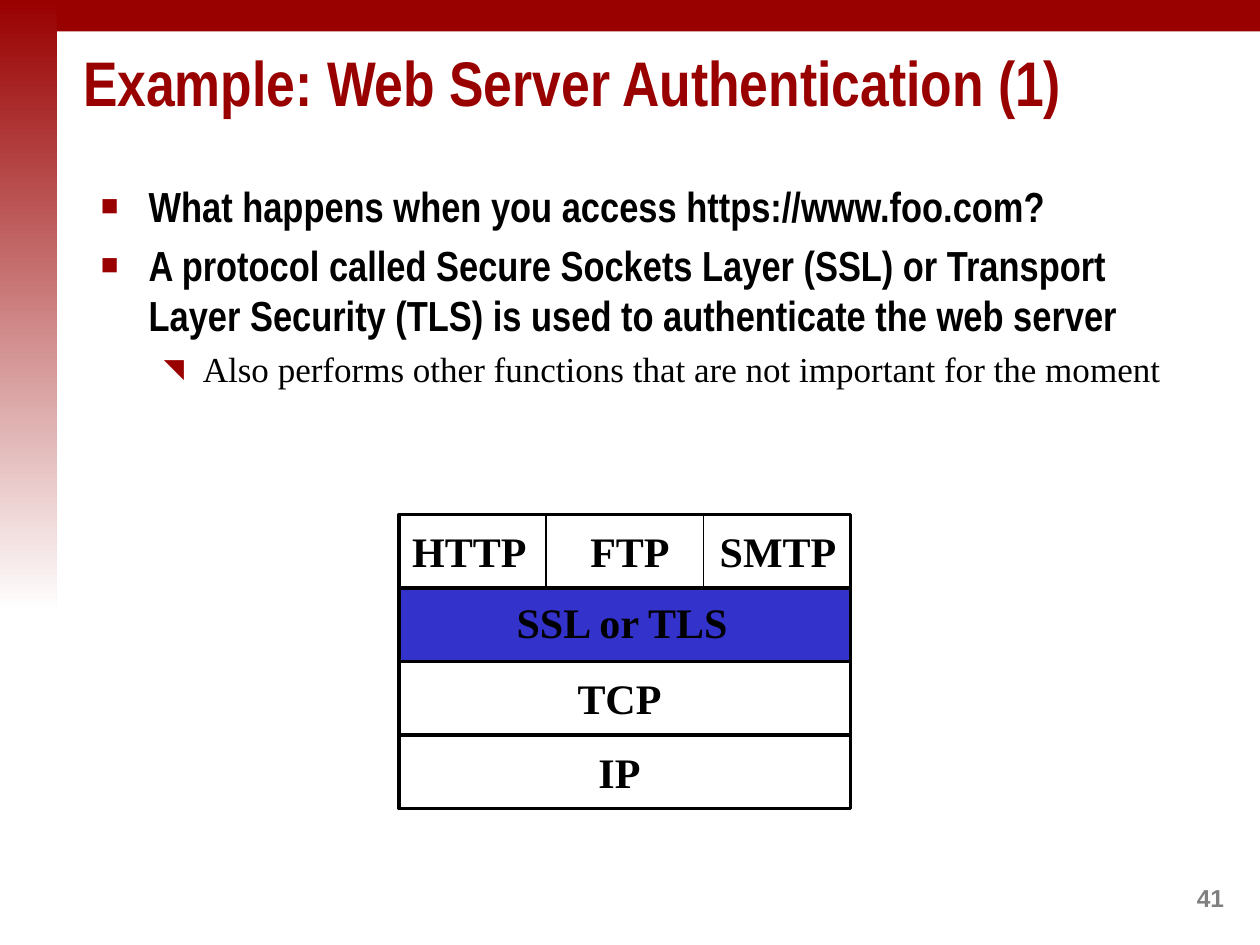
from dataclasses import dataclass

from lxml import etree
from pptx import Presentation
from pptx import util as u
from pptx.dml.color import RGBColor
from pptx.enum import shapes, text
from pptx.oxml.ns import qn


@dataclass(frozen=True)
class Theme:
    red: RGBColor = RGBColor(0x99, 0x00, 0x00)
    white: RGBColor = RGBColor(0xFF, 0xFF, 0xFF)
    black: RGBColor = RGBColor(0x00, 0x00, 0x00)
    blue: RGBColor = RGBColor(0x33, 0x33, 0xCC)
    grey: RGBColor = RGBColor(0x80, 0x80, 0x80)
    heading: str = "Arial Narrow"
    serif: str = "Times New Roman"
    sans: str = "Arial"
    title_size: int = 36
    large: int = 24
    medium: int = 20
    small: int = 14


@dataclass(frozen=True)
class Bullet:
    words: str
    level: int = 0
    before: int = 0


@dataclass(frozen=True)
class Label:
    """A stack label: layer number, centre column, width and drop in grid units."""
    words: str
    layer: int
    centre: float
    width: float
    drop: float = 1


T = Theme()
UNIT = u.Inches(1) // 24  # the protocol stack sits on a grid of 24 to the inch
LEFT, TOP, WIDTH, LAYER = 76, 98, 86, 14
DIVIDERS = (104, 134)
LAYER_FILLS = (None, T.blue, None, None)
LABELS = (
    Label("HTTP", 0, 89.4, 27),
    Label("FTP", 0, 120, 20),
    Label("SMTP", 0, 148.2, 27),
    Label("SSL or TLS", 1, 118.5, 46, 0.5),
    Label("TCP", 2, 118, 21),
    Label("IP", 3, 118, 13),
)

BULLETS = (
    Bullet("What happens when you access https://www.foo.com?"),
    Bullet("A protocol called Secure Sockets Layer (SSL) or Transport Layer "
           "Security (TLS) is used to authenticate the web server", before=5),
    Bullet("Also performs other functions that are not important for the moment",
           level=1, before=4),
)
# Per level: sign, size in percent, margin and indent in inches, font format
LEVELS = (
    ("■", 70, 0.38, -0.38,
     dict(name=T.heading, size=u.Pt(T.large), bold=True)),
    ("◥", 75, 0.81, -0.31,
     dict(name=T.serif, size=u.Pt(T.medium), bold=False)),
)


def set_font(font, color: RGBColor, **values) -> None:
    for name, value in values.items():
        setattr(font, name, value)
    font.color.rgb = color


def grid(*lengths: float) -> list[int]:
    return [round(n * UNIT) for n in lengths]


def place(sp, left: float, top: float, width: float, height: float) -> None:
    box = dict(left=left, top=top, width=width, height=height)
    for name, value in box.items():
        setattr(sp, name, u.Inches(value))


def add_box(s, box, fill: RGBColor | None = None, line: float = 0):
    sp = s.shapes.add_shape(shapes.MSO_SHAPE.RECTANGLE, *box)
    sp.shadow.inherit = False
    if fill is None:
        sp.fill.background()
    else:
        sp.fill.solid()
        sp.fill.fore_color.rgb = fill
    if line:
        sp.line.width = u.Pt(line)
        sp.line.color.rgb = T.black
    else:
        sp.line.fill.background()
    return sp


def add_text(s, box, words: str, color: RGBColor, align=None, **font) -> None:
    tf = s.shapes.add_textbox(*box).text_frame
    tf.word_wrap = False
    tf.auto_size = text.MSO_AUTO_SIZE.SHAPE_TO_FIT_TEXT
    p = tf.paragraphs[0]
    p.alignment = align
    r = p.add_run()
    r.text = words
    set_font(r.font, color, bold=True, **font)


def add_frame(s, prs) -> None:
    """Draw the top bar, the fading left strip and the page number."""
    w, h = prs.slide_width, prs.slide_height
    add_box(s, (0, 0, w, h // 30), T.red)
    strip = add_box(s, (0, 0, round(w * 0.045), round(h * 0.648)))
    strip.fill.gradient()
    strip.fill.gradient_angle = 270
    for stop, color, position in zip(strip.fill.gradient_stops, (T.red, T.white), (0, 1)):
        stop.color.rgb = color
        stop.position = position
    add_text(s, [round(n) for n in (w * 0.94, h * 0.928, w * 0.044, h * 0.044)],
             "41", T.grey, name=T.sans, size=u.Pt(T.small))


def fill_title(sp, words: str) -> None:
    place(sp, 0.43, 0.23, 9.57, 0.83)
    tf = sp.text_frame
    tf.auto_size = text.MSO_AUTO_SIZE.NONE
    tf.vertical_anchor = text.MSO_ANCHOR.MIDDLE
    p = tf.paragraphs[0]
    p.alignment = text.PP_ALIGN.LEFT
    p._p.get_or_add_pPr().set("marL", str(u.Inches(0.13)))
    r = p.add_run()
    r.text = words
    set_font(r.font, T.red, name=T.heading, size=u.Pt(T.title_size), bold=True)


def add_bullet(p, sign: str, percent: int, margin: float, indent: float) -> None:
    pPr = p._p.get_or_add_pPr()
    pPr.set("marL", str(u.Inches(margin)))
    pPr.set("indent", str(u.Inches(indent)))
    color = etree.SubElement(pPr, qn("a:buClr"))
    etree.SubElement(color, qn("a:srgbClr"), val=str(T.red))
    etree.SubElement(pPr, qn("a:buSzPct"), val=str(percent * 1000))
    etree.SubElement(pPr, qn("a:buFont"), typeface=T.sans)
    etree.SubElement(pPr, qn("a:buChar"), char=sign)


def fill_body(sp, bullets: tuple[Bullet, ...]) -> None:
    place(sp, 0.7, 1.38, 8.64, 5.44)
    tf = sp.text_frame
    tf.auto_size = text.MSO_AUTO_SIZE.NONE
    for i, bullet in enumerate(bullets):
        p = tf.add_paragraph() if i else tf.paragraphs[0]
        *marker, font = LEVELS[bullet.level]
        add_bullet(p, *marker)
        p.level = bullet.level
        p.space_before = u.Pt(bullet.before)
        r = p.add_run()
        r.text = bullet.words
        set_font(r.font, T.black, **font)


def add_divider(s, column: float) -> None:
    x, top, bottom = grid(column, TOP, TOP + LAYER)
    line = s.shapes.add_connector(shapes.MSO_CONNECTOR.STRAIGHT, x, top, x, bottom)
    line.line.width = u.Pt(0.75)
    line.line.color.rgb = T.black
    etree.SubElement(line._element.spPr, qn("a:effectLst"))


def add_stack(s) -> None:
    for i, fill in enumerate(LAYER_FILLS):
        add_box(s, grid(LEFT, TOP + i * LAYER, WIDTH, LAYER), fill, line=2)
    for column in DIVIDERS:
        add_divider(s, column)
    for label in LABELS:
        box = grid(label.centre - label.width / 2,
                   TOP + label.layer * LAYER + label.drop, label.width, 12)
        add_text(s, box, label.words, T.black, text.PP_ALIGN.CENTER,
                 name=T.serif, size=u.Pt(T.large))


def main() -> None:
    prs = Presentation()
    prs.slide_width, prs.slide_height = u.Inches(10), u.Inches(7.5)
    s = prs.slides.add_slide(prs.slide_layouts[1])
    add_frame(s, prs)
    fill_title(s.shapes.title, "Example: Web Server Authentication (1)")
    fill_body(s.placeholders[1], BULLETS)
    add_stack(s)
    prs.save("out.pptx")


if __name__ == "__main__":
    main()
